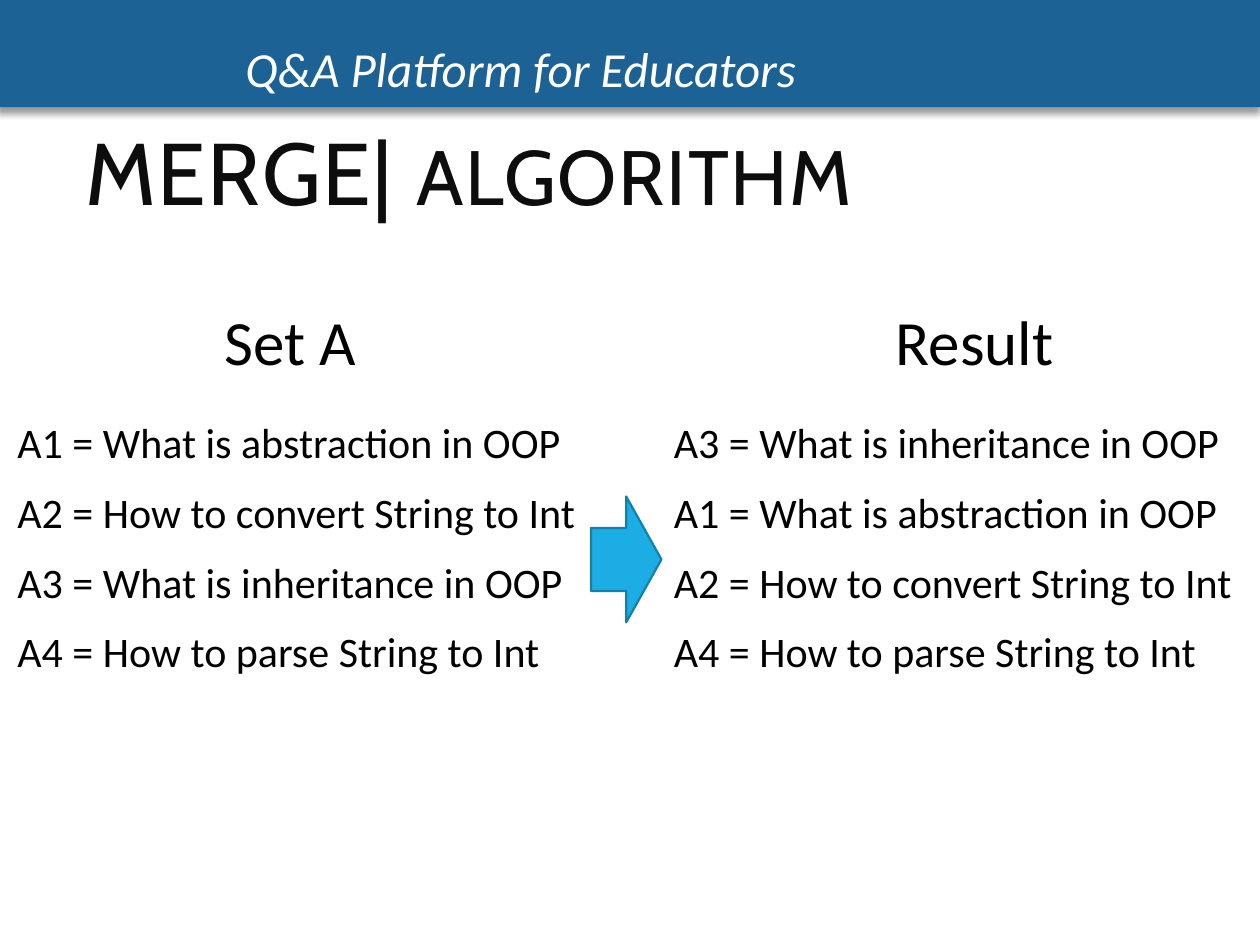
from lxml import etree
from pptx import Presentation
from pptx import util as u
from pptx.dml.color import RGBColor
from pptx.enum import shapes, text
from pptx.oxml.ns import qn

COLORS = {
    "banner": "1D6294",
    "white": "FFFFFF",
    "title": "0D0D0D",
    "body": "000000",
    "arrow": "1CADE4",
    "arrow_edge": "1580A9",
}
QUESTIONS = {
    "A1": "What is abstraction in OOP",
    "A2": "How to convert String to Int",
    "A3": "What is inheritance in OOP",
    "A4": "How to parse String to Int",
}
SPACED = {"line": 0.9, "before": 12, "after": 2}


def color(name):
    return RGBColor.from_string(COLORS[name])


def add_block(slide, kind, box, fill, edge=None):
    block = slide.shapes.add_shape(kind, *map(u.Inches, box))
    block.shadow.inherit = False
    block.fill.solid()
    block.fill.fore_color.rgb = color(fill)
    if edge:
        block.line.color.rgb = color(edge)
        block.line.width = u.Pt(1.25)
    else:
        block.line.fill.background()
    return block


def add_drop_shadow(block):
    effects = block._element.spPr.find(qn("a:effectLst"))
    shadow = etree.SubElement(effects, qn("a:outerShdw"), blurRad=str(u.Pt(4)),
                              dist=str(u.Pt(3)), dir="5400000", rotWithShape="0")
    black = etree.SubElement(shadow, qn("a:srgbClr"), val="000000")
    etree.SubElement(black, qn("a:alpha"), val="40000")


def write(frame, paragraphs, ink="body", font="Calibri", italic=False, align="LEFT",
          anchor="TOP", line=1.0, before=0, after=0, indent=0, spacing=0):
    frame.word_wrap = True
    frame.vertical_anchor = getattr(text.MSO_ANCHOR, anchor)
    for index, runs in enumerate(paragraphs):
        paragraph = frame.add_paragraph() if index else frame.paragraphs[0]
        paragraph.alignment = getattr(text.PP_ALIGN, align)
        paragraph.line_spacing = line
        paragraph.space_before = u.Pt(before)
        paragraph.space_after = u.Pt(after)
        if indent:
            paragraph._p.get_or_add_pPr().set("indent", str(u.Inches(indent)))
        for words, size in runs:
            run = paragraph.add_run()
            run.text = words
            run.font.size = u.Pt(size)
            run.font.name = font
            run.font.italic = italic
            run.font.color.rgb = color(ink)
            if spacing:
                run.font._element.set("spc", str(spacing * 100))


def add_text(slide, box, paragraphs, **style):
    frame = slide.shapes.add_textbox(*map(u.Inches, box)).text_frame
    write(frame, paragraphs, **style)


def add_questions(slide, left, width, order):
    lines = [[(f"{key} = {QUESTIONS[key]}", 24)] for key in order]
    add_text(slide, (left, 3.3, width, 2.28), lines, **SPACED)


def add_heading(slide, left, words):
    add_text(slide, (left, 2.42, 4.53, 0.72), [[(words, 36)]], align="CENTER", **SPACED)


def main():
    deck = Presentation()
    deck.slide_width, deck.slide_height = u.Inches(10), u.Inches(7.5)
    slide = deck.slides.add_slide(deck.slide_layouts[6])
    kinds = shapes.MSO_SHAPE

    banner = add_block(slide, kinds.RECTANGLE, (-0.03, 0, 10.03, 0.85), "banner")
    add_drop_shadow(banner)
    write(banner.text_frame, [[("Q&A Platform for Educators", 28)]], ink="white",
          italic=True, anchor="MIDDLE", line=1.5, indent=1.88)

    title = add_block(slide, kinds.RECTANGLE, (0.58, 1, 7.97, 0.86), "white")
    write(title.text_frame, [[("MERGE| ", 50), ("ALGORITHM", 44)]], ink="title",
          font="Cabin", anchor="MIDDLE", line=0.8, spacing=1)

    add_questions(slide, 0.04, 4.94, ["A1", "A2", "A3", "A4"])
    add_questions(slide, 5.25, 5.36, ["A3", "A1", "A2", "A4"])
    add_block(slide, kinds.RIGHT_ARROW, (4.69, 3.94, 0.56, 1), "arrow", edge="arrow_edge")
    add_heading(slide, 0.04, "Set A")
    add_heading(slide, 5.47, "Result")

    deck.save("out.pptx")


if __name__ == "__main__":
    main()
